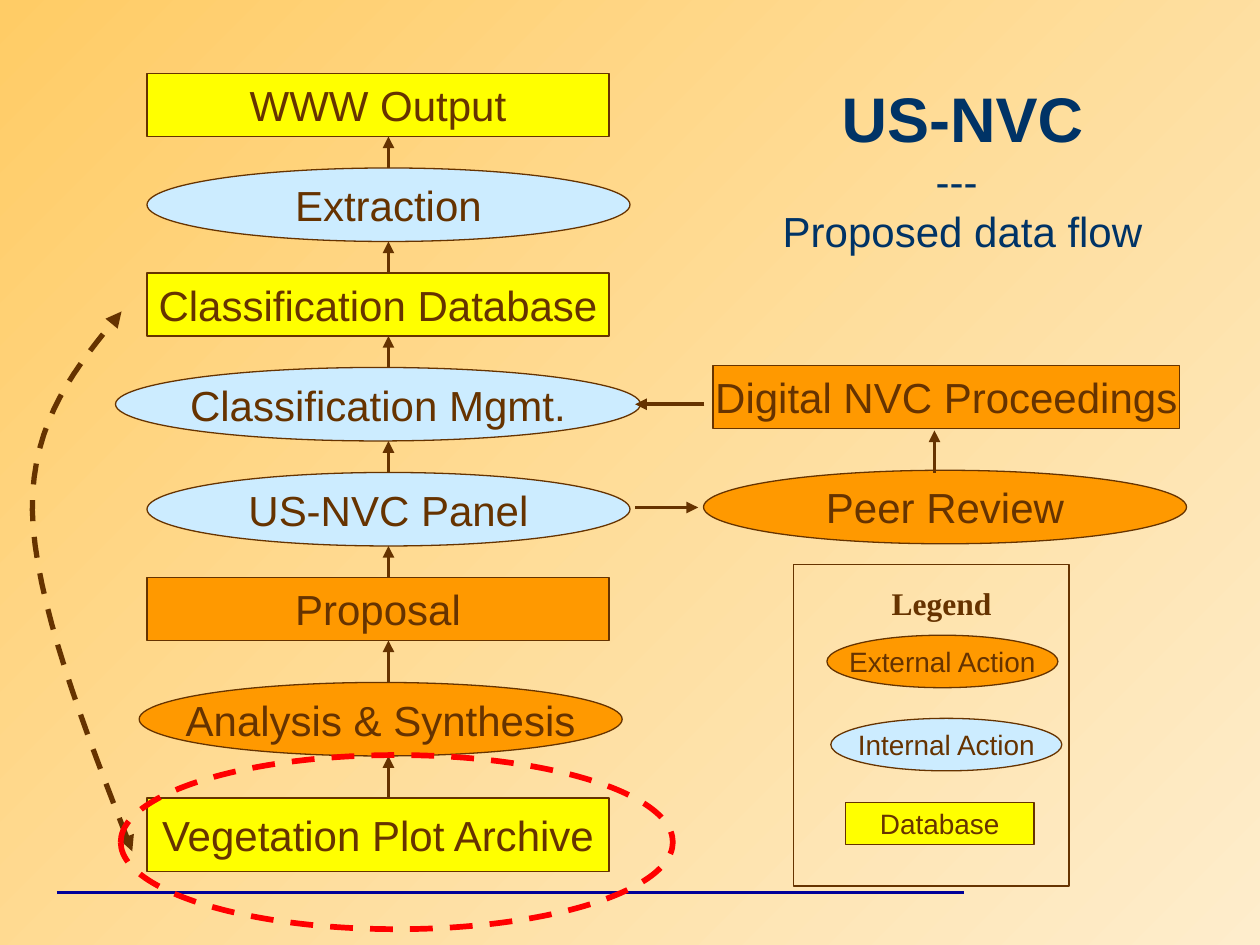
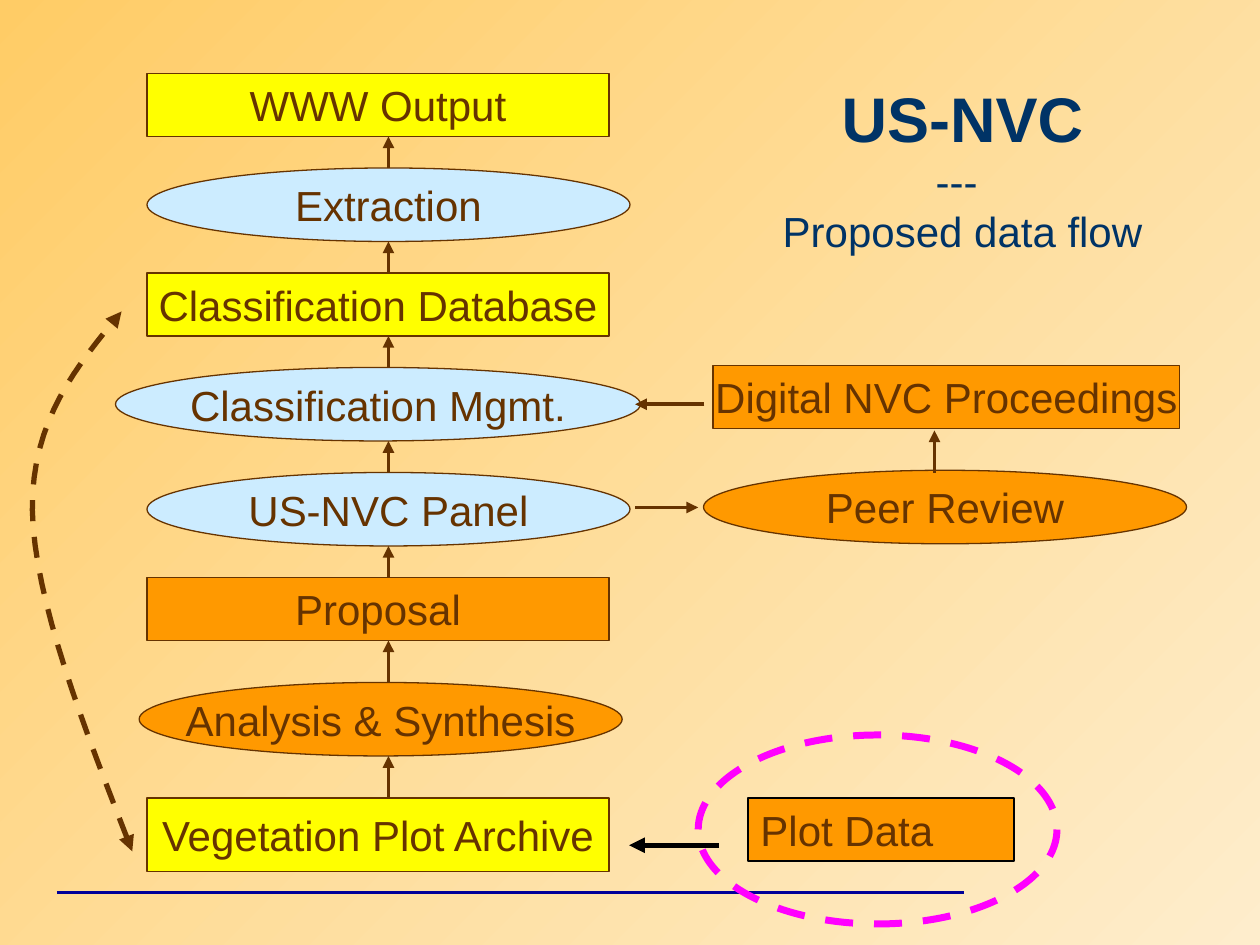
import dataclasses
import itertools

import lxml.etree
import pptx
import pptx.dml.color
import pptx.enum.dml
import pptx.enum.shapes
import pptx.enum.text
import pptx.oxml.ns
import pptx.util

Pt = pptx.util.Pt
qn = pptx.oxml.ns.qn
RECT = pptx.enum.shapes.MSO_SHAPE.RECTANGLE
OVAL = pptx.enum.shapes.MSO_SHAPE.OVAL
LEFT = pptx.enum.text.PP_ALIGN.LEFT
CENTER = pptx.enum.text.PP_ALIGN.CENTER
TOP = pptx.enum.text.MSO_ANCHOR.TOP
MIDDLE = pptx.enum.text.MSO_ANCHOR.MIDDLE

BROWN, NAVY, BLUE, BLACK = "663300", "003366", "000099", "000000"
YELLOW, SKY, ORANGE = "FFFF00", "CCECFF", "FF9900"
RED, PINK = "FF0000", "FF00FF"
SAND, GOLD = "FEEDCC", "FFCC66"
AXIS = 222


@dataclasses.dataclass
class Node:
    text: str
    kind: int
    fill: str
    left: float
    top: float
    width: float
    height: float
    size: float = 24
    edge: str = BROWN


@dataclasses.dataclass
class Arrow:
    start: tuple[float, float]
    end: tuple[float, float]
    hue: str = BROWN
    weight: float = 2.25
    tips: tuple[str, ...] = ("tailEnd",)


@dataclasses.dataclass
class Ring:
    hue: str
    weight: float
    left: float
    top: float
    width: float
    height: float


FLOW = [
    Node("WWW Output", RECT, YELLOW, 84, 42, 264, 36),
    Node("Extraction", OVAL, SKY, 84, 96, 276, 42),
    Node("Classification Database", RECT, YELLOW, 84, 156, 264, 36),
    Node("Classification Mgmt.", OVAL, SKY, 66, 210, 300, 42),
    Node("US-NVC Panel", OVAL, SKY, 84, 270, 276, 42),
    Node("Proposal", RECT, ORANGE, 84, 330, 264, 36),
    Node("Analysis & Synthesis", OVAL, ORANGE, 79.5, 390, 276, 42),
    Node("Vegetation Plot Archive", RECT, YELLOW, 84, 456, 264, 42),
]
REVIEW = [
    Node("Peer Review", OVAL, ORANGE, 402, 268.75, 276, 42),
    Node("Digital NVC Proceedings", RECT, ORANGE, 407.5, 208.75, 266.5, 36),
]
LINKS = [
    Arrow((AXIS, low.top), (AXIS, high.top + high.height))
    for high, low in itertools.pairwise(FLOW)
] + [
    Arrow((363, 290), (399, 290)),
    Arrow((534, 270), (534, 246)),
    Arrow((402.5, 231), (363, 231)),
]
KEYS = [
    Node("External Action", OVAL, ORANGE, 472.5, 363, 132, 30, 16),
    Node("Internal Action", OVAL, SKY, 474.75, 410.5, 132, 30, 16),
    Node("Database", RECT, YELLOW, 483, 458.5, 108, 24, 16),
]
LOOP = [
    ((75.6, 486.5), (47.5, 414.5), (19.5, 342.5), (18.5, 291.5)),
    ((18.5, 291.5), (18, 240), (44, 209), (69.5, 178)),
]


def color(code: str):
    return pptx.dml.color.RGBColor.from_string(code)


def stroke(shape, hue: str, weight: float, dash: bool = False) -> None:
    shape.line.color.rgb = color(hue)
    shape.line.width = Pt(weight)
    if dash:
        shape.line.dash_style = pptx.enum.dml.MSO_LINE.DASH


def add_tips(shape, tips: tuple[str, ...]) -> None:
    line = shape.element.spPr.find(qn("a:ln"))
    for tip in tips:
        lxml.etree.SubElement(line, qn(f"a:{tip}"), type="triangle")


def style(part, size: float, hue: str = BROWN, font: str = "Arial", bold: bool = False) -> None:
    part.font.size = Pt(size)
    part.font.name = font
    part.font.bold = bold
    part.font.color.rgb = color(hue)


def draw_shape(slide, kind: int, left: float, top: float, width: float, height: float):
    shape = slide.shapes.add_shape(kind, Pt(left), Pt(top), Pt(width), Pt(height))
    shape.shadow.inherit = False
    shape.fill.background()
    return shape


def draw_node(slide, node: Node):
    shape = draw_shape(slide, node.kind, node.left, node.top, node.width, node.height)
    shape.fill.solid()
    shape.fill.fore_color.rgb = color(node.fill)
    stroke(shape, node.edge, 0.75)
    frame = shape.text_frame
    frame.text = node.text
    frame.word_wrap = False
    frame.vertical_anchor = MIDDLE
    frame.paragraphs[0].alignment = CENTER
    style(frame.paragraphs[0].runs[0], node.size)
    return shape


def draw_line(slide, arrow: Arrow) -> None:
    ends = [Pt(v) for v in arrow.start + arrow.end]
    line = slide.shapes.add_connector(pptx.enum.shapes.MSO_CONNECTOR.STRAIGHT, *ends)
    stroke(line, arrow.hue, arrow.weight)
    add_tips(line, arrow.tips)
    lxml.etree.SubElement(line.element.spPr, qn("a:effectLst"))


def draw_ring(slide, ring: Ring) -> None:
    shape = draw_shape(slide, OVAL, ring.left, ring.top, ring.width, ring.height)
    stroke(shape, ring.hue, ring.weight, True)


def curve_point(curve: tuple, t: float) -> tuple[int, int]:
    parts = ((1 - t) ** 3, 3 * t * (1 - t) ** 2, 3 * t * t * (1 - t), t ** 3)
    x, y = (sum(k * p[i] for k, p in zip(parts, curve)) for i in (0, 1))
    return Pt(x), Pt(y)


def draw_loop(slide, steps: int = 16) -> None:
    points = [curve_point(c, n / steps) for c in LOOP for n in range(1, steps + 1)]
    pen = slide.shapes.build_freeform(*curve_point(LOOP[0], 0))
    pen.add_line_segments(points, close=False)
    shape = pen.convert_to_shape()
    shape.shadow.inherit = False
    shape.fill.background()
    stroke(shape, BROWN, 3, True)
    add_tips(shape, ("headEnd", "tailEnd"))


def draw_title(slide) -> None:
    box = slide.shapes.add_textbox(Pt(394), Pt(42), Pt(312), Pt(108))
    frame = box.text_frame
    frame.word_wrap = True
    frame.text = "US-NVC\v--- \nProposed data flow"
    for line in frame.paragraphs:
        line.alignment = CENTER
        for run in line.runs:
            style(run, 24, NAVY)
    style(frame.paragraphs[0].runs[0], 36, NAVY, bold=True)


def draw_base(deck):
    slide = deck.slides.add_slide(deck.slide_layouts[6])
    draw_line(slide, Arrow((32.5, 510), (551, 510), BLUE, 1.5, ()))
    draw_title(slide)
    for node in FLOW + REVIEW:
        draw_node(slide, node)
    for link in LINKS:
        draw_line(slide, link)
    return slide


def draw_legend(slide) -> None:
    stroke(draw_shape(slide, RECT, 453.5, 322.75, 157.5, 183.5), BROWN, 0.75)
    box = slide.shapes.add_textbox(Pt(502.5), Pt(330), Pt(71.5), Pt(29))
    box.text_frame.text = "Legend"
    box.text_frame.word_wrap = False
    style(box.text_frame.paragraphs[0].runs[0], 18, font="Times New Roman", bold=True)
    for key in KEYS:
        draw_node(slide, key)


def draw_source(slide) -> None:
    draw_line(slide, Arrow((411, 483), (359.5, 483), BLACK, 3))
    draw_ring(slide, Ring(PINK, 4, 399, 420, 205, 108))
    plot = Node("Plot Data", RECT, ORANGE, 427.5, 456, 152, 36, edge=BLACK)
    frame = draw_node(slide, plot).text_frame
    frame.word_wrap = True
    frame.vertical_anchor = TOP
    frame.paragraphs[0].alignment = LEFT
    frame.paragraphs[0].space_before = Pt(15)


def main() -> None:
    deck = pptx.Presentation()
    deck.slide_width, deck.slide_height = Pt(720), Pt(540)
    back = deck.slide_master.background.fill
    back.gradient()
    back.gradient_angle = 135
    for stop, hue in zip(back.gradient_stops, (SAND, GOLD)):
        stop.color.rgb = color(hue)

    first = draw_base(deck)
    draw_legend(first)
    draw_loop(first)
    draw_ring(first, Ring(RED, 3.25, 69, 431.5, 315.5, 99.5))

    second = draw_base(deck)
    draw_loop(second)
    draw_source(second)
    deck.save("out.pptx")


if __name__ == "__main__":
    main()
